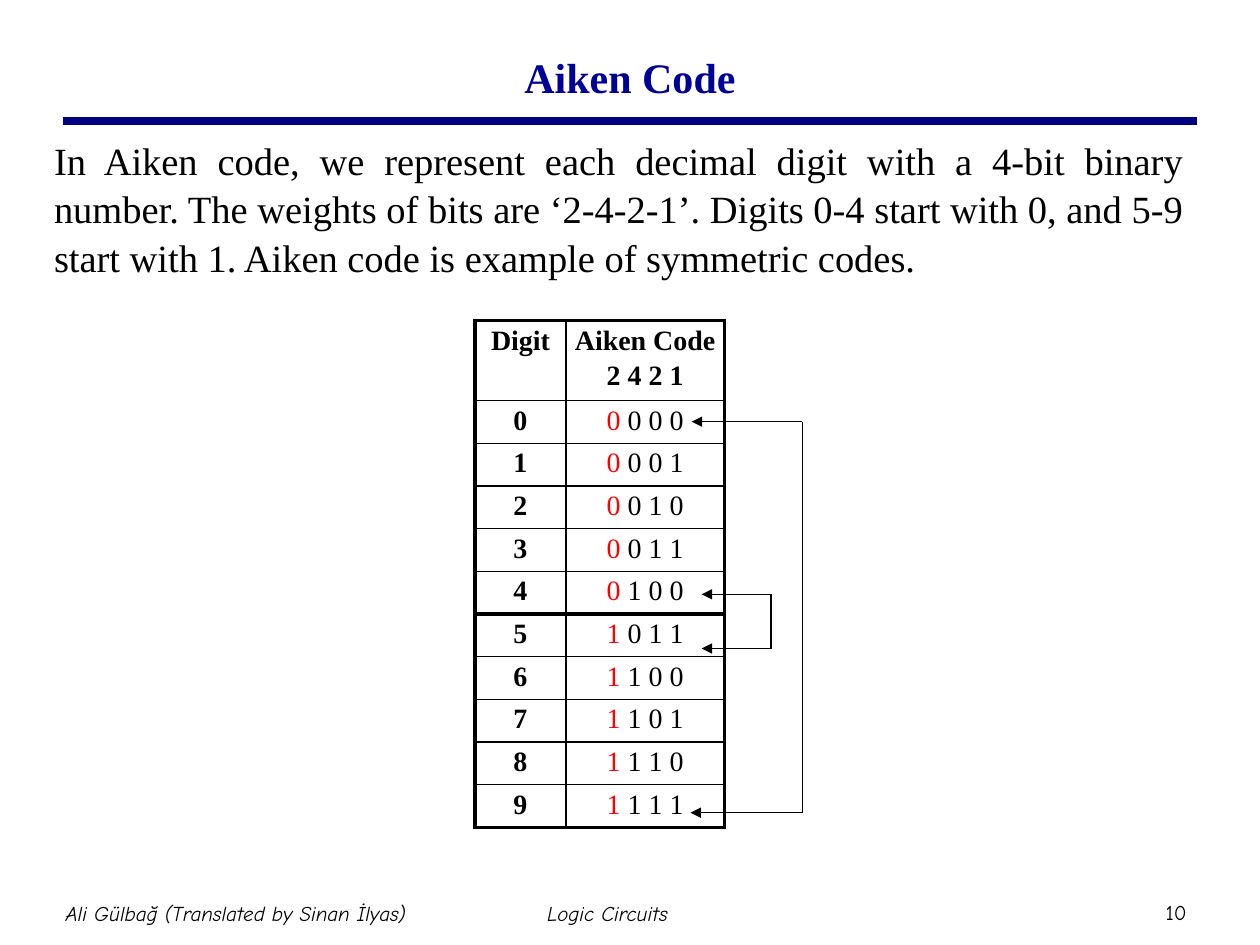
from lxml import etree
from pptx import Presentation
from pptx.dml.color import RGBColor
from pptx.enum.shapes import MSO_CONNECTOR
from pptx.enum.text import MSO_ANCHOR, PP_ALIGN
from pptx.oxml.ns import qn
from pptx.util import Pt

STRAIGHT = MSO_CONNECTOR.STRAIGHT
TOP, MIDDLE, BOTTOM = MSO_ANCHOR.TOP, MSO_ANCHOR.MIDDLE, MSO_ANCHOR.BOTTOM
CENTER, JUSTIFY = PP_ALIGN.CENTER, PP_ALIGN.JUSTIFY

COLORS = {"title": "000099", "rule": "000080", "text": "000000", "first_bit": "FF0000"}
SERIF, HAND = "Times New Roman", "Comic Neue"
THICK, THIN = 2.25, 1

CODES = ["0 0 0 0", "0 0 0 1", "0 0 1 0", "0 0 1 1", "0 1 0 0",
         "1 0 1 1", "1 1 0 0", "1 1 0 1", "1 1 1 0", "1 1 1 1"]


class SlideBuilder:
    """Holds the style and the current slide; all lengths are in points."""

    def __init__(self, slide):
        self.slide = slide
        self.shapes = slide.shapes

    def style_font(self, font, size, name=SERIF, color="text", bold=False, italic=False):
        font.size, font.name = Pt(size), name
        font.bold, font.italic = bold, italic
        font.color.rgb = RGBColor.from_string(COLORS[color])

    def set_frame(self, frame, anchor, insets):
        frame.word_wrap = True
        frame.vertical_anchor = anchor
        (frame.margin_left, frame.margin_top,
         frame.margin_right, frame.margin_bottom) = map(Pt, insets)

    def title(self, text, left, top, width, height):
        shape = self.shapes.title
        shape.left, shape.top, shape.width, shape.height = map(Pt, (left, top, width, height))
        self.set_frame(shape.text_frame, BOTTOM, (7.2, 3.6, 7.2, 9.5))
        paragraph = shape.text_frame.paragraphs[0]
        paragraph.text = text
        paragraph.alignment = CENTER
        self.style_font(paragraph.font, 24, color="title", bold=True)

    def text(self, text, left, top, width, height, size, align, anchor=MIDDLE,
             insets=(3.6,) * 4, line_spacing=1.0, **font_style):
        shape = self.shapes.add_textbox(*map(Pt, (left, top, width, height)))
        self.set_frame(shape.text_frame, anchor, insets)
        paragraph = shape.text_frame.paragraphs[0]
        paragraph.text = text
        paragraph.alignment = align
        paragraph.line_spacing = line_spacing
        self.style_font(paragraph.font, size, **font_style)

    def line(self, start, end, width=0.75, color="text", arrow=False):
        connector = self.shapes.add_connector(STRAIGHT, *map(Pt, (*start, *end)))
        connector.line.width = Pt(width)
        connector.line.color.rgb = RGBColor.from_string(COLORS[color])
        if arrow:
            outline = connector.line._get_or_add_ln()
            etree.SubElement(outline, qn("a:tailEnd"), type="triangle")
        etree.SubElement(connector._element.spPr, qn("a:effectLst"))

    def bracket(self, right, ends):
        """Join two arrow tips, given as (x, y), by a vertical line at right."""
        (_, top), (_, bottom) = ends
        self.line((right, top), (right, bottom))
        for tip_x, tip_y in ends:
            self.line((right, tip_y), (tip_x, tip_y), arrow=True)

    def cell_borders(self, cell, widths):
        properties = cell._tc.get_or_add_tcPr()
        for index, (tag, width) in enumerate(zip(("lnL", "lnR", "lnT", "lnB"), widths)):
            border = etree.Element(qn("a:" + tag), w=str(Pt(width)))
            fill = etree.SubElement(border, qn("a:solidFill"))
            etree.SubElement(fill, qn("a:srgbClr"), val=COLORS["text"])
            properties.insert(index, border)

    def cell(self, cell, lines, bold=False, mark_first=False):
        cell.fill.background()
        cell.vertical_anchor = TOP
        cell.margin_left = cell.margin_right = Pt(2.6)
        cell.margin_top = cell.margin_bottom = Pt(2.6)
        frame = cell.text_frame
        for index, line in enumerate(lines):
            paragraph = frame.add_paragraph() if index else frame.paragraphs[0]
            paragraph.alignment = CENTER
            if index:
                paragraph.space_before = Pt(2.2)
            self.style_font(paragraph.font, 16, bold=bold)
            if mark_first:
                first = paragraph.add_run()
                first.text = line[0]
                first.font.color.rgb = RGBColor.from_string(COLORS["first_bit"])
                line = line[1:]
            paragraph.add_run().text = line

    def code_table(self, left, top, widths, header_height, row_height, codes):
        last = len(codes)
        table = self.shapes.add_table(
            last + 1, 2, Pt(left), Pt(top), Pt(sum(widths)),
            Pt(header_height + last * row_height)).table
        table.first_row = table.horz_banding = False
        for column, width in zip(table.columns, widths):
            column.width = Pt(width)
        for index, row in enumerate(table.rows):
            row.height = Pt(row_height if index else header_height)
        self.cell(table.cell(0, 0), ["Digit"], bold=True)
        self.cell(table.cell(0, 1), ["Aiken Code", "2 4 2 1"], bold=True)
        for digit, code in enumerate(codes):
            self.cell(table.cell(digit + 1, 0), [str(digit)], bold=True)
            self.cell(table.cell(digit + 1, 1), [code], mark_first=True)
        # Thick frame, and a thick rule between the symmetric halves
        thick_rules = (0, last // 2 + 1, last + 1)
        for row in range(last + 1):
            upper, lower = (THICK if edge in thick_rules else THIN for edge in (row, row + 1))
            self.cell_borders(table.cell(row, 0), (THICK, THIN, upper, lower))
            self.cell_borders(table.cell(row, 1), (THIN, THICK, upper, lower))


def main():
    presentation = Presentation()
    presentation.slide_width, presentation.slide_height = Pt(720), Pt(540)
    builder = SlideBuilder(presentation.slides.add_slide(presentation.slide_layouts[5]))

    # Title and rule
    builder.line((36, 69.3), (684, 69.3), width=4.5, color="rule")
    builder.title("Aiken Code", 54, 5.8, 612, 62)

    # Footer
    footer = {"size": 12, "align": CENTER, "name": HAND}
    builder.text("10", 655.2, 510.5, 33.8, 21.6, **footer)
    builder.text("Ali Gülbağ (Translated by Sinan İlyas)", 5.8, 504, 257.8, 36, italic=True, **footer)
    builder.text("Logic Circuits", 218.2, 504, 257.8, 36, italic=True, **footer)

    # Explanation
    builder.text(
        "In Aiken code, we represent each decimal digit with a 4-bit binary number. "
        "The weights of bits are ‘2-4-2-1’. Digits 0-4 start with 0, and 5-9 start with 1. "
        "Aiken code is example of symmetric codes.",
        23.8, 72, 659.5, 399.6, 22, JUSTIFY, anchor=TOP,
        insets=(7.2, 5, 7.2, 3.6), line_spacing=1.05)

    # Code table
    builder.code_table(271.5, 183.2, (51.8, 90.7), 44.2, 23.5, CODES)

    # Arrows joining symmetric codes
    builder.bracket(458.5, ((395.3, 241), (394.6, 464.4)))
    builder.bracket(440.6, ((401, 339.6), (401, 370.6)))

    presentation.save("out.pptx")


if __name__ == "__main__":
    main()
